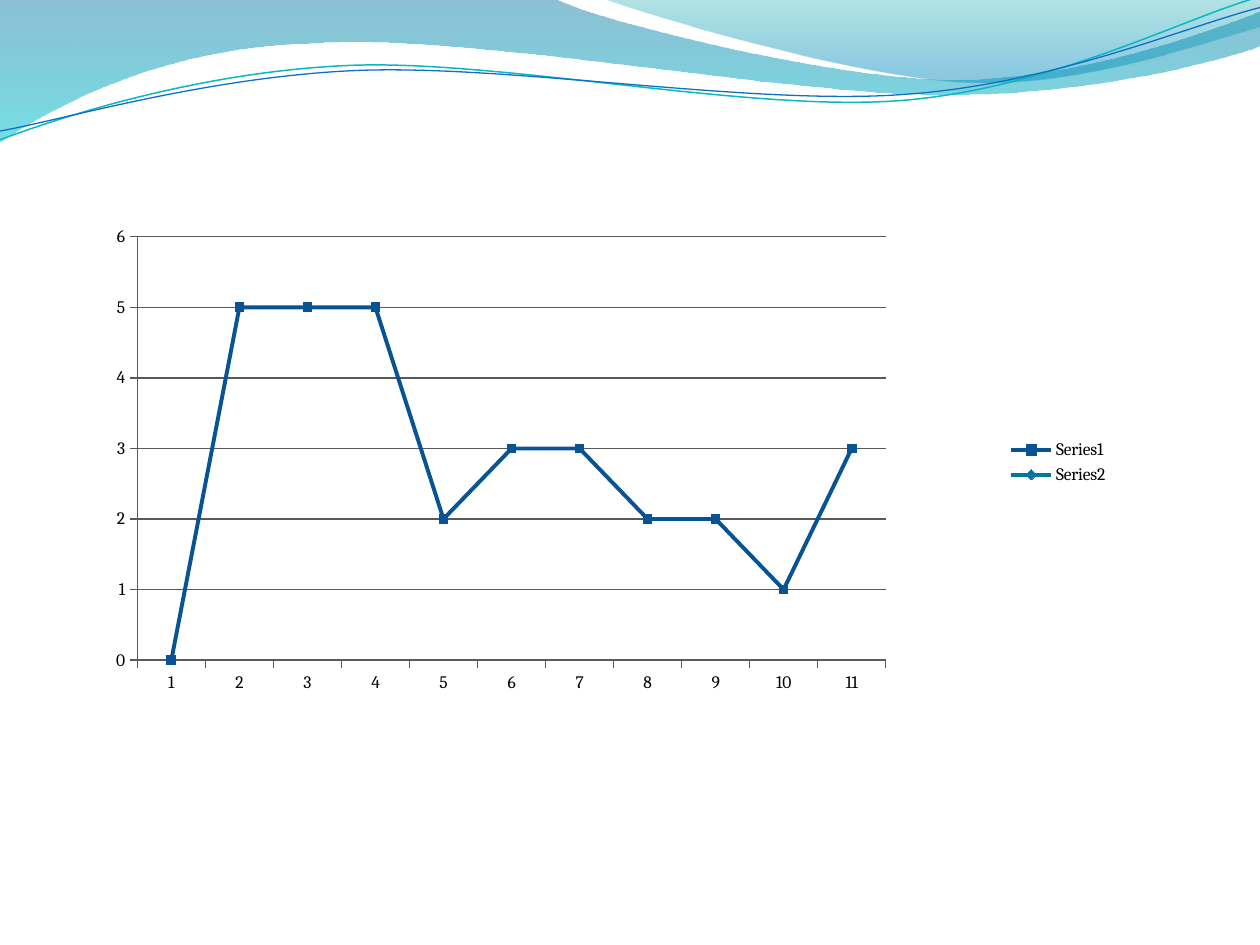
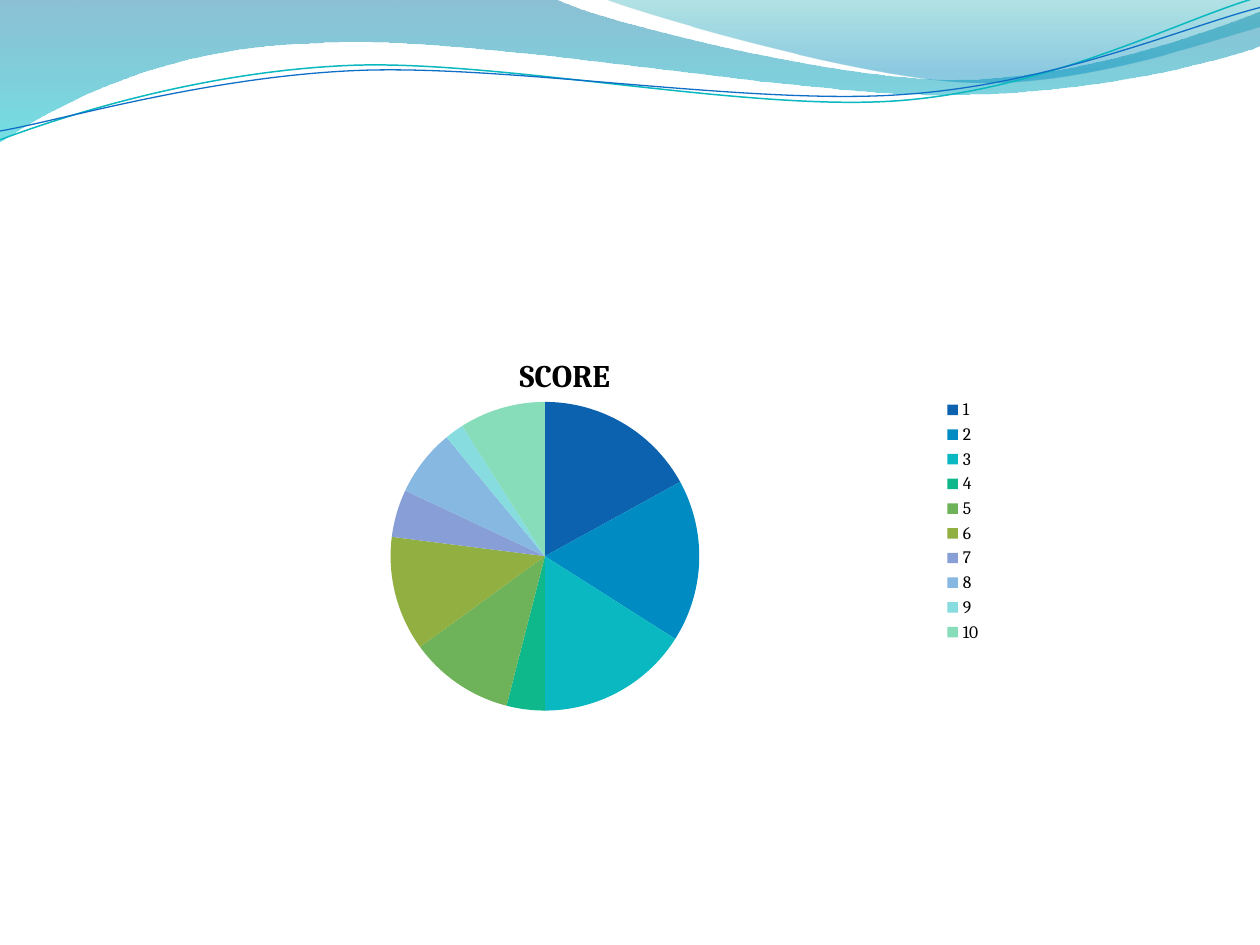
from lxml.etree import SubElement
from pptx import Presentation
from pptx.chart.data import CategoryChartData
from pptx.dml.color import RGBColor
from pptx.enum.chart import (XL_CHART_TYPE as ChartType, XL_LEGEND_POSITION as LegendPos,
                             XL_MARKER_STYLE as Marker, XL_TICK_MARK as Tick)
from pptx.oxml.ns import qn
from pptx.util import Inches, Pt

# Shared style
FONT = "Cambria"
BLACK = RGBColor(0x00, 0x00, 0x00)
GREY = RGBColor(0x59, 0x59, 0x59)
TEAL = RGBColor(0x0A, 0xB8, 0xBF)
BLUE = RGBColor(0x0F, 0x6F, 0xC6)
BAND_TOP = RGBColor(0x00, 0x74, 0xA1)
BAND_BOTTOM = RGBColor(0x00, 0xC6, 0xCF)
CORNER_TOP = RGBColor(0x00, 0xA1, 0xA9)
CORNER_BOTTOM = RGBColor(0x00, 0x8B, 0xBF)
SERIES_COLORS = [RGBColor(0x07, 0x53, 0x94), RGBColor(0x00, 0x76, 0xA3)]
SLICE_COLORS = [RGBColor.from_string(c) for c in (
    "0C62AF", "008CC2", "0AB8C1", "0FB88A", "6EB359",
    "92AF42", "879FD6", "87B8E1", "87DCE0", "87DCBA")]

# Wave outlines in inches: a pair is a point, six numbers are a cubic curve
BAND = [(0, 0), (4.4, -0.01), (4.76, 0.17, 6.64, 0.63, 7.58, 0.63),
        (8.53, 0.63, 9.58, 0.26, 10, 0.09), (10.01, 0.36),
        (9.83, 0.44, 8.7, 0.76, 7.46, 0.75), (6.22, 0.75, 3.82, 0.28, 2.57, 0.34),
        (1.29, 0.36, 0.46, 0.83, -0.01, 1.13)]
CORNER = [(4.79, -0.01), (5.09, 0.11, 6.82, 0.62, 7.69, 0.65),
          (8.56, 0.69, 9.61, 0.32, 10, 0.21), (10, 0)]
TEAL_WAVE = [(0, 1.11), (0.48, 0.93, 1.58, 0.57, 2.77, 0.52),
             (3.95, 0.47, 5.93, 0.89, 7.13, 0.8), (8.33, 0.71, 9.38, 0.15, 9.98, -0.02)]
BLUE_WAVE = [(0, 1.04), (0.47, 0.96, 1.64, 0.61, 2.83, 0.56),
             (4.03, 0.51, 5.97, 0.84, 7.17, 0.75), (8.36, 0.67, 9.41, 0.21, 10, 0.06)]


class Deck:
    """Holds the presentation, its style and the current slide."""

    def __init__(self):
        self.prs = Presentation()
        self.prs.slide_width, self.prs.slide_height = Inches(10), Inches(7.5)
        self.slide = None

    def add_slide(self):
        self.slide = self.prs.slides.add_slide(self.prs.slide_layouts[6])
        self.band(BAND, (0, BAND_TOP, 45), (1, BAND_BOTTOM, 55))
        self.band(CORNER, (0, CORNER_TOP, 30), (0.8, CORNER_BOTTOM, 45))
        self.wave(TEAL_WAVE, TEAL, 0.85)
        self.wave(BLUE_WAVE, BLUE, 0.75)

    def outline(self, outline, close):
        """Freeform through every point, with each curve's three lines joined into one."""
        start, *rest = [(Inches(x), Inches(y)) for seg in outline
                        for x, y in zip(seg[::2], seg[1::2])]
        builder = self.slide.shapes.build_freeform(*start)
        builder.add_line_segments(rest, close=close)
        sp = builder.convert_to_shape()
        sp.shadow.inherit = False
        lines = iter(list(sp._element.iter(qn("a:lnTo"))))
        for seg in outline[1:]:
            line = next(lines)
            if len(seg) == 6:
                line.addprevious(curve := line.makeelement(qn("a:cubicBezTo")))
                for part in (line, next(lines), next(lines)):
                    curve.append(part[0])
                    part.getparent().remove(part)
        return sp

    def band(self, outline, *stops):
        """Filled shape with a vertical gradient; stops are (position, colour, opacity)."""
        sp = self.outline(outline, close=True)
        sp.line.fill.background()
        sp.fill.gradient()
        sp.fill.gradient_angle = 270
        for stop, (position, color, _) in zip(sp.fill.gradient_stops, stops):
            stop.position = position
            stop.color.rgb = color
        colors = sp._element.spPr.iter(qn("a:srgbClr"))
        for clr, (_, _, opacity) in zip(colors, stops):
            SubElement(clr, qn("a:alpha")).set("val", str(opacity * 1000))

    def wave(self, outline, color, width):
        sp = self.outline(outline, close=False)
        sp.fill.background()
        sp.line.color.rgb = color
        sp.line.width = Pt(width)

    def chart(self, kind, box, plot, categories, series):
        """Chart in box, with its inner plot area at plot (both in slide inches)."""
        data = CategoryChartData()
        data.categories = categories
        for name, values in series:
            data.add_series(name, values)
        frame = self.slide.shapes.add_chart(kind, *map(Inches, box), data)
        chart = frame.chart
        chart.font.name, chart.font.size = FONT, Pt(10)
        chart.font.color.rgb = BLACK
        chart.has_title = False
        chart.has_legend = True
        chart.legend.position = LegendPos.RIGHT
        chart.legend.include_in_layout = False
        self.place(chart._chartSpace.chart.plotArea, 0, box, plot)
        return chart

    def place(self, part, index, box, spot):
        """Pin a chart part at spot: left, top and, for a plot area, width and height."""
        layout = part.find(qn("c:layout"))
        if layout is None:
            layout = part.makeelement(qn("c:layout"))
            part.insert(index, layout)
        left, top, width, height = box
        x, y, *size = spot
        settings = [("xMode", "edge"), ("yMode", "edge"),
                    ("x", (x - left) / width), ("y", (y - top) / height)]
        if size:
            settings.insert(0, ("layoutTarget", "inner"))
            settings += [("w", size[0] / width), ("h", size[1] / height)]
        manual = SubElement(layout, qn("c:manualLayout"))
        for tag, val in settings:
            SubElement(manual, qn("c:" + tag)).set("val", str(val))

    def line_chart(self, box, plot, categories, series):
        chart = self.chart(ChartType.LINE_MARKERS, box, plot, categories, series)
        chart.plots[0].vary_by_categories = False
        for ser, color, marker in zip(chart.plots[0].series, SERIES_COLORS,
                                      (Marker.SQUARE, Marker.DIAMOND)):
            ser.smooth = False
            ser.format.line.color.rgb = color
            ser.format.line.width = Pt(2.25)
            ser.marker.style, ser.marker.size = marker, 5
            ser.marker.format.fill.solid()
            ser.marker.format.fill.fore_color.rgb = color
            ser.marker.format.line.color.rgb = color
        # Axes and gridlines
        value_axis = chart.value_axis
        value_axis.minimum_scale, value_axis.maximum_scale = 0, 6
        value_axis.major_unit = 1
        value_axis.has_major_gridlines = True
        for axis in (chart.category_axis, value_axis):
            axis.major_tick_mark = Tick.OUTSIDE
            axis.minor_tick_mark = Tick.NONE
        for part in (chart.category_axis, value_axis, value_axis.major_gridlines):
            part.format.line.color.rgb = GREY
            part.format.line.width = Pt(0.75)

    def pie_chart(self, box, plot, categories, title, title_spot, values):
        chart = self.chart(ChartType.PIE, box, plot, categories, [(title, values)])
        chart.plots[0].vary_by_categories = True
        chart.has_title = True
        chart.chart_title.include_in_layout = False
        p = chart.chart_title.text_frame.paragraphs[0]
        p.text = title
        p.font.name, p.font.size, p.font.bold = FONT, Pt(18), True
        p.font.color.rgb = BLACK
        self.place(chart.chart_title._element, 1, box, title_spot)
        for i, color in enumerate(SLICE_COLORS):
            fmt = chart.plots[0].series[0].points[i].format
            fmt.fill.solid()
            fmt.fill.fore_color.rgb = color
            fmt.line.fill.background()


def main():
    deck = Deck()

    # Slide 1: line chart
    deck.add_slide()
    deck.line_chart((0.62, 1.56, 8.28, 4.22), (1.09, 1.88, 5.94, 3.36),
                    [str(n) for n in range(1, 12)],
                    [("Series1", [0, 5, 5, 5, 2, 3, 3, 2, 2, 1, 3]),
                     ("Series2", [None] * 11)])

    # Slide 2: score pie
    deck.add_slide()
    deck.pie_chart((1.17, 2.49, 6.72, 3.29), (3.1, 3.19, 2.45, 2.45),
                   [str(n) for n in range(1, 11)],
                   "SCORE", (4.08, 2.77), [17, 17, 16, 4, 11, 12, 5, 7, 2, 9])

    deck.prs.save("out.pptx")


if __name__ == "__main__":
    main()
